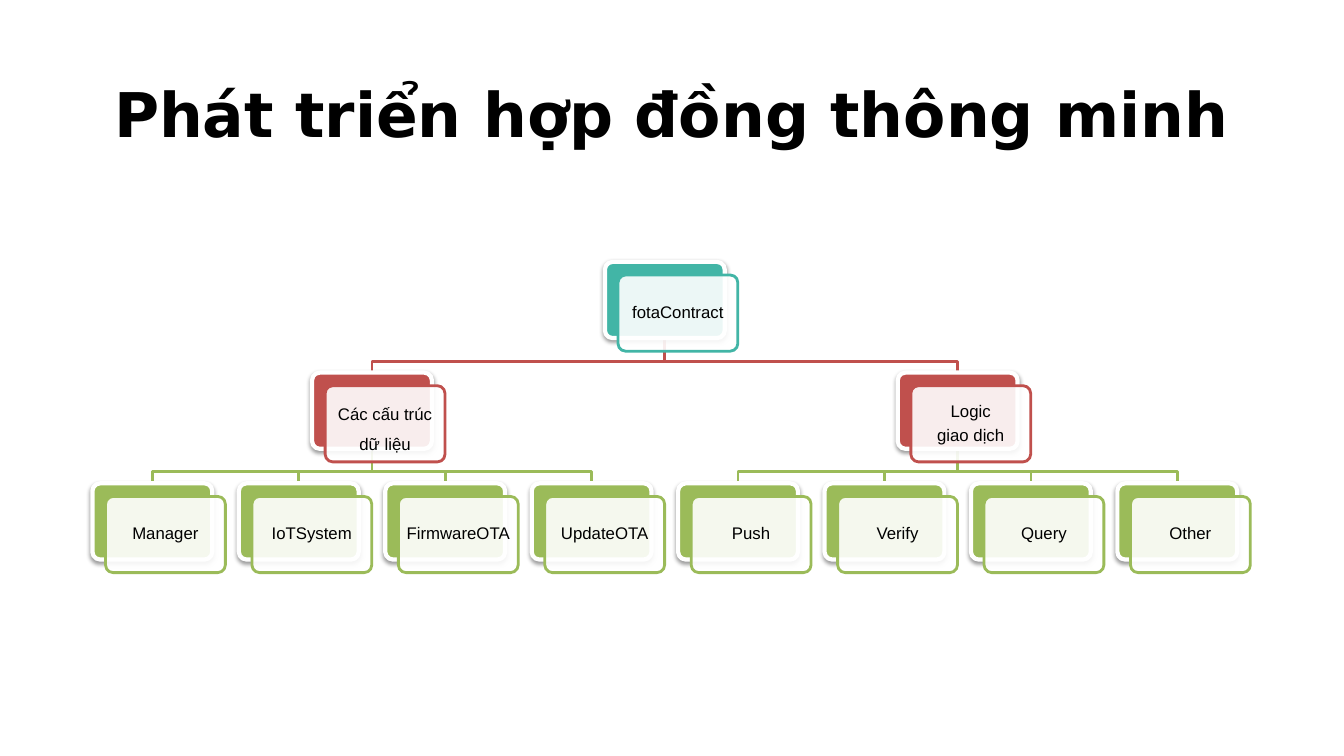
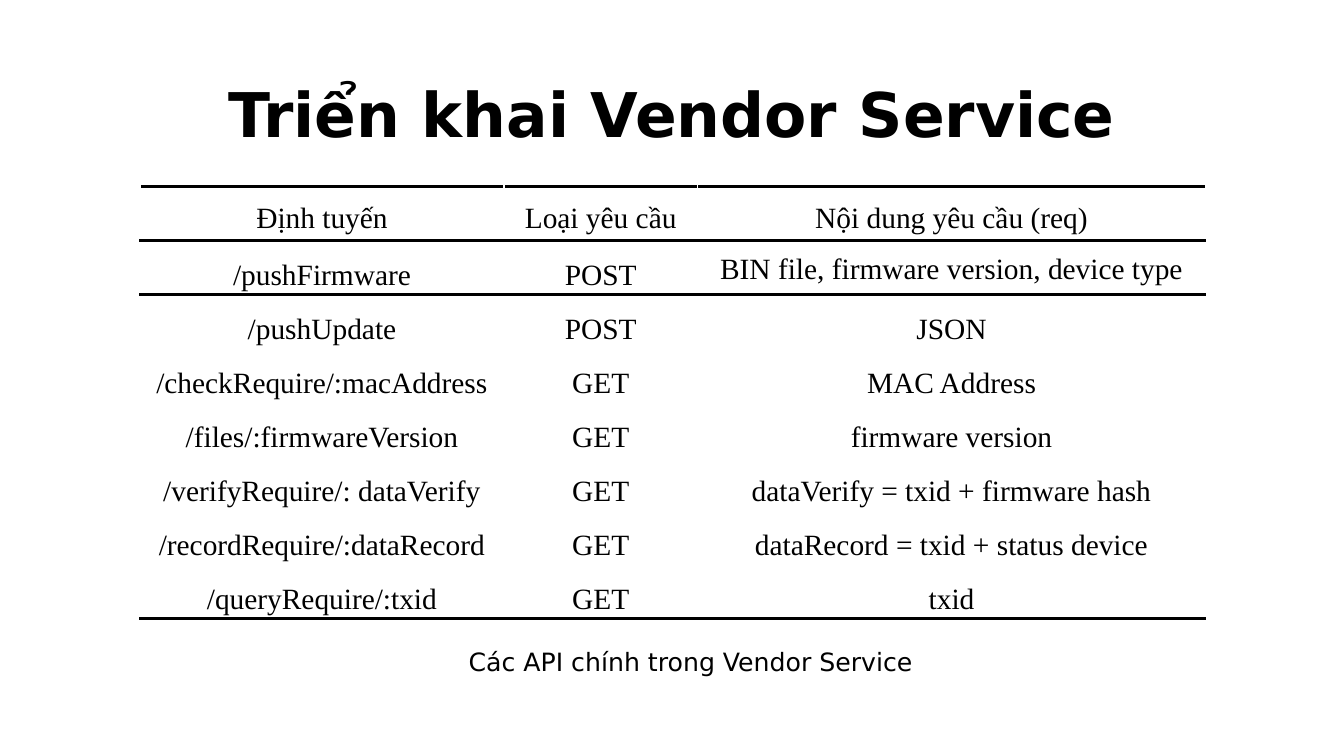
from lxml import etree
from pptx import Presentation
from pptx.dml.color import RGBColor
from pptx.enum.shapes import MSO_SHAPE
from pptx.enum.text import MSO_ANCHOR, PP_ALIGN
from pptx.oxml import parse_xml
from pptx.oxml.ns import nsdecls, qn
from pptx.util import Cm, Pt

ROUNDED = MSO_SHAPE.ROUNDED_RECTANGLE
MIDDLE, TOP = MSO_ANCHOR.MIDDLE, MSO_ANCHOR.TOP
LEFT, CENTER = PP_ALIGN.LEFT, PP_ALIGN.CENTER

# Shared colours and fonts
BLACK, WHITE = "000000", "FFFFFF"
TEAL, RED, GREEN = "42B5A6", "C0504D", "9BBB59"
TITLE_FONT, NODE_FONT, TABLE_FONT = "DejaVu Sans", "Arial", "Times New Roman"
NO_STYLE = "{2D5ABB26-0587-4C30-8999-92F81FD0307C}"

# Tree geometry in cm
BOX_W, BOX_H = 3.02, 1.92
CARD_SHIFT = 0.33
TREE_LEFT, TREE_TOP = 2.33, 6.6
COL_STEP, ROW_STEP = 3.69, 2.79
ELBOW = 0.58

# A node is (text, line spacing, children)
TREE = ("fotaContract", 0.9, [
    ("Các cấu trúc dữ liệu", 1.5, [
        (name, 0.9, [])
        for name in ("Manager", "IoTSystem", "FirmwareOTA", "UpdateOTA")]),
    ("Logic\ngiao dịch", 0.9, [
        (name, 0.9, []) for name in ("Push", "Verify", "Query", "Other")]),
])
LEVEL_COLORS = (TEAL, RED, GREEN)

API_ROWS = [
    ("Định tuyến", "Loại yêu cầu", "Nội dung yêu cầu (req)"),
    ("/pushFirmware", "POST", "BIN file, firmware version, device type"),
    ("/pushUpdate", "POST", "JSON"),
    ("/checkRequire/:macAddress", "GET", "MAC Address"),
    ("/files/:firmwareVersion", "GET", "firmware version"),
    ("/verifyRequire/: dataVerify", "GET", "dataVerify = txid + firmware hash"),
    ("/recordRequire/:dataRecord", "GET", "dataRecord = txid + status device"),
    ("/queryRequire/:txid", "GET", "txid"),
]
COL_WIDTHS = (9.17, 4.88, 12.8)
ROW_H = 1.36


def rgb(value):
    return RGBColor.from_string(value)


def format_text(tf, font, size, align=CENTER, bold=False, spacing=1.0, after=0):
    for p in tf.paragraphs:
        p.alignment = align
        p.line_spacing = spacing
        p.space_after = Pt(after)
        for r in p.runs:
            r.font.name = font
            r.font.size = Pt(size)
            r.font.bold = bold
            r.font.color.rgb = rgb(BLACK)


def add_text(s, text, box, size, anchor=TOP, **style):
    tf = s.shapes.add_textbox(*map(Cm, box)).text_frame
    tf.word_wrap = True
    tf.vertical_anchor = anchor
    tf.text = text
    format_text(tf, TITLE_FONT, size, **style)


def add_title_slide(prs, title):
    s = prs.slides.add_slide(prs.slide_layouts[6])
    add_text(s, title, (2.33, 1.01, 29.21, 3.68), 44, MIDDLE, bold=True)
    return s


# Tree diagram
def add_box(s, x, y, fill, line, width):
    sp = s.shapes.add_shape(ROUNDED, Cm(x), Cm(y), Cm(BOX_W), Cm(BOX_H))
    sp.adjustments[0] = 0.1
    sp.shadow.inherit = False
    sp.fill.solid()
    sp.fill.fore_color.rgb = rgb(fill)
    sp.line.color.rgb = rgb(line)
    sp.line.width = Pt(width)
    return sp


def add_shadow(sp):
    effects = sp._element.spPr.find(qn("a:effectLst"))
    effects.append(parse_xml(
        f'<a:outerShdw {nsdecls("a")} blurRad="{Pt(3.1)}" dist="{Pt(1.6)}" '
        f'dir="5400000" rotWithShape="0"><a:srgbClr val="{BLACK}">'
        '<a:alpha val="38000"/></a:srgbClr></a:outerShdw>'))


def add_node(s, x, y, text, spacing, color):
    add_shadow(add_box(s, x, y, color, WHITE, 3))
    card = add_box(s, x + CARD_SHIFT, y + CARD_SHIFT, WHITE, color, 2)
    fill_color = card._element.spPr.find(qn("a:solidFill"))[0]
    etree.SubElement(fill_color, qn("a:alpha")).set("val", "90000")
    tf = card.text_frame
    tf.word_wrap = True
    tf.vertical_anchor = MIDDLE
    tf.margin_left = tf.margin_right = tf.margin_top = tf.margin_bottom = Cm(0.13)
    tf.text = text
    format_text(tf, NODE_FONT, 12, spacing=spacing, after=4.2)


def add_elbow(s, parent, child, color):
    x1, x2 = (x + BOX_W / 2 for x in (parent[0], child[0]))
    y1, y2 = parent[1] + BOX_H, child[1]
    points = [(x1, y1 + ELBOW), (x2, y1 + ELBOW), (x2, y2)]
    builder = s.shapes.build_freeform(Cm(x1), Cm(y1))
    builder.add_line_segments([(Cm(x), Cm(y)) for x, y in points], close=False)
    sp = builder.convert_to_shape()
    sp.shadow.inherit = False
    sp.fill.background()
    sp.line.color.rgb = rgb(color)
    sp.line.width = Pt(2)


def place_tree(node, level, leaf, nodes, links):
    """Centre each parent over its children; return its place and the next leaf."""
    text, spacing, children = node
    y = TREE_TOP + level * ROW_STEP
    places = []
    for child in children:
        place, leaf = place_tree(child, level + 1, leaf, nodes, links)
        places.append(place)
    if places:
        x = (places[0][0] + places[-1][0]) / 2
    else:
        x = TREE_LEFT + leaf * COL_STEP
        leaf += 1
    links += [((x, y), place, LEVEL_COLORS[level + 1]) for place in places]
    nodes.append((x, y, text, spacing, LEVEL_COLORS[level]))
    return (x, y), leaf


def add_tree(s, tree):
    nodes, links = [], []
    place_tree(tree, 0, 0, nodes, links)
    for link in links:
        add_elbow(s, *link)
    for node in nodes:
        add_node(s, *node)


# Table
def add_border(cell, side, color, width):
    cell._tc.get_or_add_tcPr().append(parse_xml(
        f'<a:ln{side} {nsdecls("a")} w="{Pt(width)}"><a:solidFill>'
        f'<a:srgbClr val="{color}"/></a:solidFill></a:ln{side}>'))


def add_api_table(s, rows):
    frame = s.shapes.add_table(len(rows), len(COL_WIDTHS), Cm(3.53), Cm(4.7),
                               Cm(sum(COL_WIDTHS)), Cm(ROW_H * len(rows)))
    table = frame.table
    table.first_row = table.horz_banding = False
    table._tbl.tblPr.find(qn("a:tableStyleId")).text = NO_STYLE
    for column, width in zip(table.columns, COL_WIDTHS):
        column.width = Cm(width)
    last = len(rows) - 1
    for i, row in enumerate(rows):
        table.rows[i].height = Cm(ROW_H)
        for j, text in enumerate(row):
            cell = table.cell(i, j)
            cell.margin_left = cell.margin_right = Cm(0.3)
            cell.margin_top = cell.margin_bottom = 0
            cell.vertical_anchor = MIDDLE if i else TOP
            cell.text = text
            spacing = 1.15 if (i, j) == (1, 2) else 1.5
            format_text(cell.text_frame, TABLE_FONT, 21, spacing=spacing)
            for side in "LR":
                add_border(cell, side, WHITE, 1)
            if i in (0, 1):
                add_border(cell, "T", BLACK, 2.25)
            if i in (0, last):
                add_border(cell, "B", BLACK, 2.25)
            cell.fill.background()


def main():
    prs = Presentation()
    prs.slide_width, prs.slide_height = Cm(33.87), Cm(19.05)

    # Smart contract structure
    s = add_title_slide(prs, "Phát triển hợp đồng thông minh")
    add_tree(s, TREE)

    # Service routes
    s = add_title_slide(prs, "Triển khai Vendor Service")
    add_api_table(s, API_ROWS)
    add_text(s, "Các API chính trong Vendor Service", (11.56, 15.77, 11.96, 1.24),
             18, align=LEFT, spacing=1.5)

    prs.save("out.pptx")


if __name__ == "__main__":
    main()
